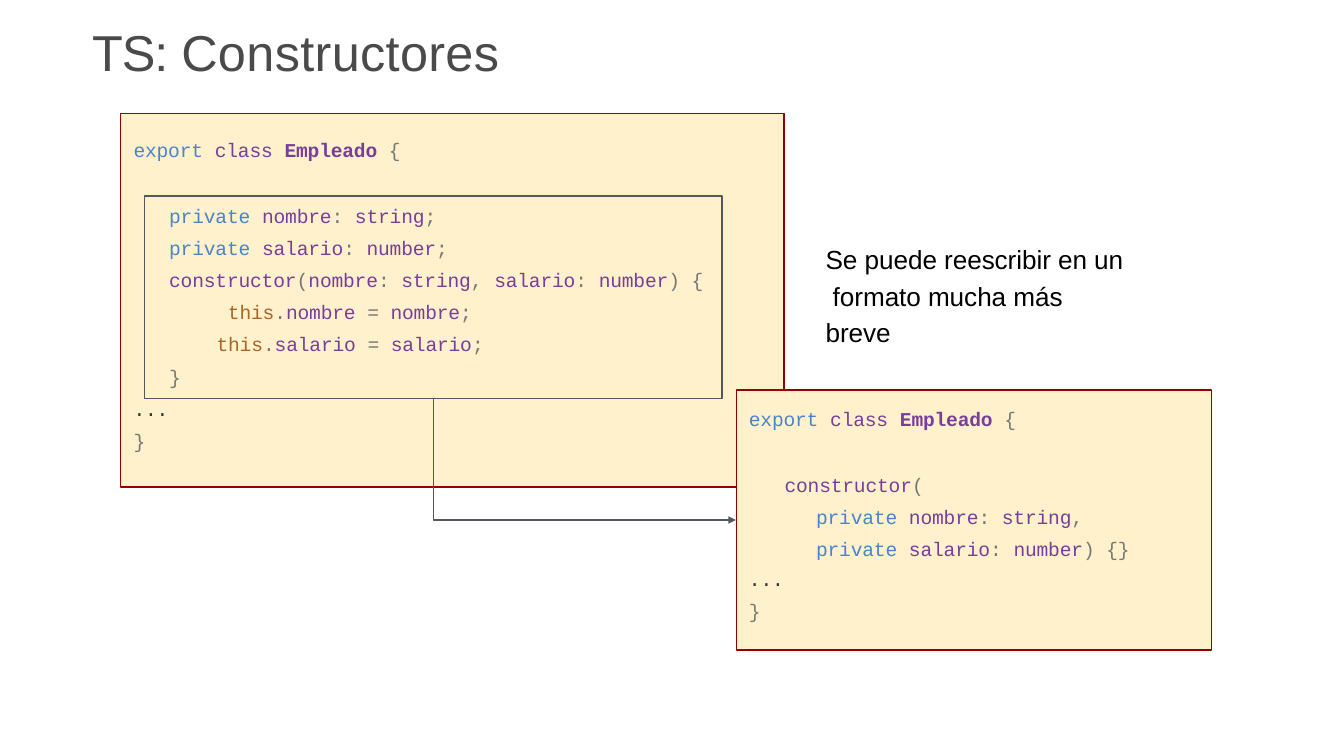
"""Build a slide on shorter TypeScript constructors."""
from itertools import groupby
from typing import NamedTuple

from lxml.etree import SubElement as Sub
from pptx import Presentation
from pptx.dml.color import RGBColor as Rgb
from pptx.enum.shapes import MSO_CONNECTOR as Link, MSO_SHAPE as Kind
from pptx.enum.text import MSO_ANCHOR as Anchor, MSO_AUTO_SIZE as Fit, PP_ALIGN as Align
from pptx.oxml.ns import qn
from pptx.util import Pt

HUES = {
    "title": "4A4A4A", "note": "000000", "card": "FFF1CC", "edge": "980000",
    "wire": "53585F", "key": "4B83CD", "name": "793E9D", "self": "AB6526",
    "mark": "777777", "dots": "333333",
}
TINTS = {"export": "key", "private": "key", "this": "self", "...": "dots"}
NOTE = ["Se puede reescribir en un", " formato mucha más", "breve"]
GAP = 4.6
SKIP = 22.9


class Area(NamedTuple):
    """Left, top, width and height in points."""
    x: float
    y: float
    w: float
    h: float


class Line(NamedTuple):
    """One line of code with its indent and the gap above it."""
    text: str
    dent: float = 0.9
    gap: float = GAP


class Code(NamedTuple):
    """A block of code lines in a text box."""
    area: Area
    lines: list[Line]
    inset: float = 1.2


HEAD = Line("export class Empleado {", gap=0)
FULL = Code(Area(70.6, 72.7, 311, 172.8), [
    HEAD,
    Line("private nombre: string;", 20, SKIP),
    Line("private salario: number;", 20),
    Line("constructor(nombre: string, salario: number) {", 20),
    Line("this.nombre = nombre;", 51.5),
    Line("this.salario = salario;", 45.4),
    Line("}", 20),
    Line("..."),
    Line("}"),
])
BRIEF = Code(Area(400.3, 216.7, 208, 82.8), [
    HEAD,
    Line("constructor(", 20, SKIP),
    Line("private nombre: string,", 36.9),
    Line("private salario: number) {}", 36.9),
])
TAIL = Code(Area(400.3, 298.1, 20.9, 36), [Line("...", gap=0), Line("}")], 5.6)


def put(para, text: str, *, font: str = "Arial", size: float, hue: str,
        bold: bool = False, space: float = 0) -> None:
    """Add a formatted run to a paragraph."""
    run = para.add_run()
    run.text = text
    face = run.font
    face.name, face.size, face.bold = font, Pt(size), bold
    face.color.rgb = Rgb.from_string(HUES[hue])
    run._r.get_or_add_rPr().set("spc", str(round(space * 100)))


def place(shape, area: Area, inset: float):
    """Move a text shape, set its frame and return the frame."""
    shape.left, shape.top, shape.width, shape.height = map(Pt, area)
    frame = shape.text_frame
    frame.margin_left = frame.margin_right = frame.margin_bottom = 0
    frame.margin_top = Pt(inset)
    frame.word_wrap = True
    frame.auto_size = Fit.NONE
    frame.vertical_anchor = Anchor.TOP
    return frame


def box(slide, area: Area, inset: float):
    """Add a text box and return its frame."""
    return place(slide.shapes.add_textbox(*map(Pt, area)), area, inset)


def code(slide, block: Code) -> None:
    """Draw lines of code, coloured by the kind of each token."""
    frame = box(slide, block.area, block.inset)
    frame.word_wrap = False
    for i, line in enumerate(block.lines):
        para = frame.add_paragraph() if i else frame.paragraphs[0]
        props = para._p.get_or_add_pPr()
        props.set("marL", str(Pt(line.dent)))
        props.set("indent", "0")
        if i:
            para.space_before = Pt(line.gap)
        for alpha, group in groupby(line.text, str.isalpha):
            word = "".join(group)
            hue = TINTS.get(word, "name" if alpha else "mark")
            put(para, word, font="Courier New", size=10.5, hue=hue,
                bold=word == "Empleado", space=-0.05)


def rect(slide, area: Area, edge: str, fill: str | None = None) -> None:
    """Draw an outlined rectangle, filled if a fill is named."""
    shape = slide.shapes.add_shape(Kind.RECTANGLE, *map(Pt, area))
    shape.shadow.inherit = False
    if fill:
        shape.fill.solid()
        shape.fill.fore_color.rgb = Rgb.from_string(HUES[fill])
    else:
        shape.fill.background()
    shape.line.color.rgb = Rgb.from_string(HUES[edge])
    shape.line.width = Pt(0.75)


def wire(slide, start: tuple[float, float], end: tuple[float, float]) -> None:
    """Draw an elbow arrow that goes down and then right."""
    link = slide.shapes.add_connector(Link.ELBOW, *map(Pt, start + end))
    link.line.color.rgb = Rgb.from_string(HUES["wire"])
    link.line.width = Pt(0.75)
    props = link._element.spPr
    bends = props.find(qn("a:prstGeom")).find(qn("a:avLst"))
    Sub(bends, qn("a:gd"), name="adj1", fmla="val 0")
    Sub(props, qn("a:effectLst"))
    Sub(link.line._get_or_add_ln(), qn("a:tailEnd"), type="triangle", w="sm", len="sm")


def main() -> None:
    """Draw the slide and save it."""
    deck = Presentation()
    deck.slide_width, deck.slide_height = Pt(720), Pt(405)
    slide = deck.slides.add_slide(deck.slide_layouts[5])

    para = place(slide.shapes.title, Area(49.4, 10.1, 222, 34), 1.3).paragraphs[0]
    para.alignment = Align.LEFT
    put(para, "TS: ", size=27, hue="title", space=-0.6)
    put(para, "Constructores", size=27, hue="title", space=0.2)

    para = box(slide, Area(442.3, 126.7, 164.2, 62), 1.2).paragraphs[0]
    para.line_spacing = 1.16
    for i, text in enumerate(NOTE):
        if i:
            para.add_line_break()
        put(para, text, size=14, hue="note", space=-0.05)

    rect(slide, Area(64.6, 60.7, 355.5, 200.2), "edge", "card")
    code(slide, FULL)
    rect(slide, Area(394.6, 209, 254.6, 139.2), "edge", "card")
    code(slide, BRIEF)
    code(slide, TAIL)
    wire(slide, (232.2, 213.4), (394.2, 278.6))
    rect(slide, Area(77.5, 105, 309.3, 108.4), "wire")
    deck.save("out.pptx")


if __name__ == "__main__":
    main()
